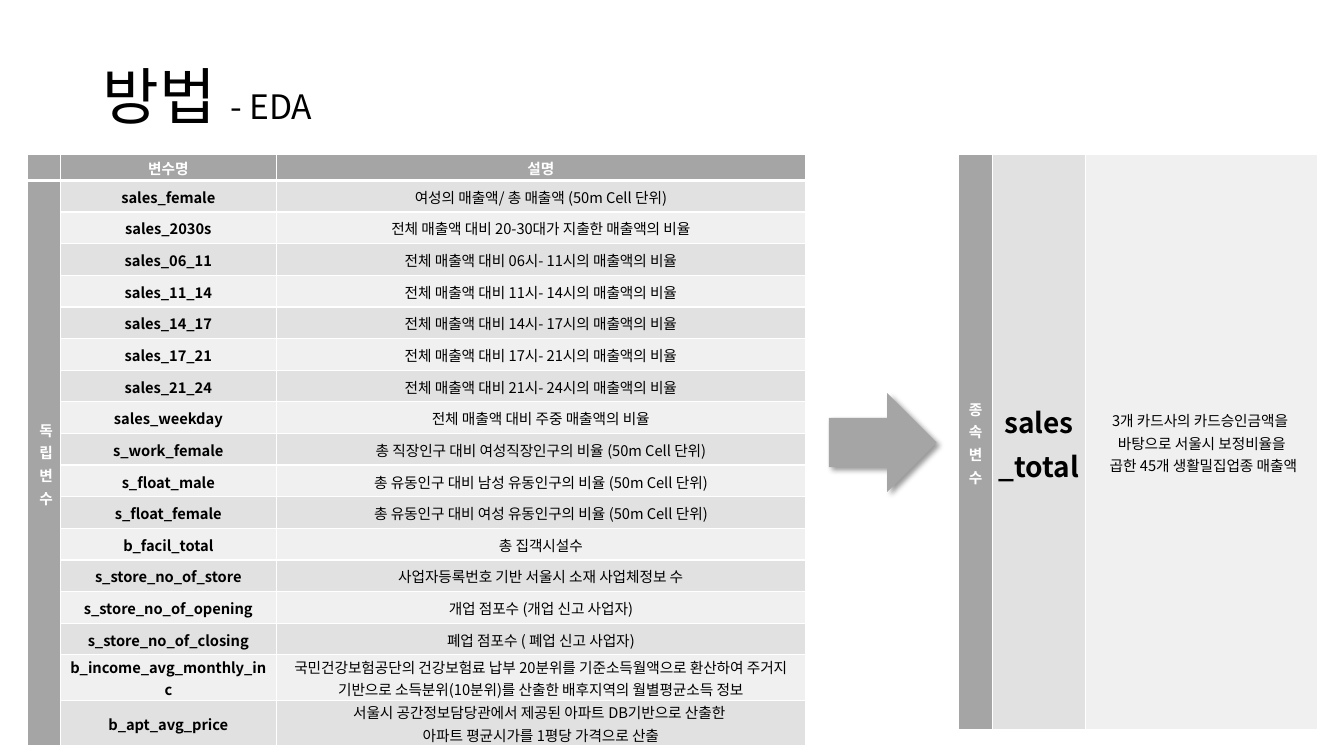
import copy

from lxml import etree
from pptx import Presentation, util as u
from pptx.dml.color import RGBColor
from pptx.enum import shapes, text
from pptx.oxml.ns import qn

COLORS = {"head": "A5A5A5", "dark": "E1E1E1", "light": "F0F0F0",
          "white": "FFFFFF", "black": "000000"}
FONT = "Noto Sans CJK KR"
CELL = {"size": 10.5, "color": "black", "bold": False}
NAME = {**CELL, "bold": True}
HEAD = {**NAME, "color": "white"}
BIG = {**NAME, "size": 20}

HOURS = [("06", "11"), ("11", "14"), ("14", "17"), ("17", "21"), ("21", "24")]
VARIABLES = [
    ("sales_female", "여성의 매출액/ 총 매출액 (50m Cell 단위)"),
    ("sales_2030s", "전체 매출액 대비 20-30대가 지출한 매출액의 비율"),
    *[(f"sales_{a}_{b}", f"전체 매출액 대비 {a}시- {b}시의 매출액의 비율") for a, b in HOURS],
    ("sales_weekday", "전체 매출액 대비 주중 매출액의 비율"),
    ("s_work_female", "총 직장인구 대비 여성직장인구의 비율 (50m Cell 단위)"),
    ("s_float_male", "총 유동인구 대비 남성 유동인구의 비율 (50m Cell 단위)"),
    ("s_float_female", "총 유동인구 대비 여성 유동인구의 비율 (50m Cell 단위)"),
    ("b_facil_total", "총 집객시설수"),
    ("s_store_no_of_store", "사업자등록번호 기반 서울시 소재 사업체정보 수"),
    ("s_store_no_of_opening", "개업 점포수 (개업 신고 사업자)"),
    ("s_store_no_of_closing", "폐업 점포수 ( 폐업 신고 사업자)"),
    ("b_income_avg_monthly_inc",
     "국민건강보험공단의 건강보험료 납부 20분위를 기준소득월액으로 환산하여 주거지 "
     "기반으로 소득분위(10분위)를 산출한 배후지역의 월별평균소득 정보"),
    ("b_apt_avg_price",
     "서울시 공간정보담당관에서 제공된 아파트 DB기반으로 산출한 \v아파트 평균시가를 1평당 가격으로 산출"),
]
TARGET = ["3개 카드사의 카드승인금액을 ", "바탕으로 서울시 보정비율을",
          " 곱한 45개 생활밀집업종 매출액"]


def rgb(name):
    return RGBColor.from_string(COLORS[name])


class SlideBuilder:
    def __init__(self, prs):
        self.s = prs.slides.add_slide(prs.slide_layouts[5])

    def style(self, r, size, color, bold):
        for key, value in {"size": u.Pt(size), "bold": bold, "name": FONT}.items():
            setattr(r.font, key, value)
        r.font.color.rgb = rgb(color)
        etree.SubElement(r.font._element, qn("a:ea"), typeface=FONT)

    def title(self, box, parts):
        sp = self.s.shapes.title
        sp.left, sp.top, sp.width, sp.height = map(u.Inches, box)
        tf = sp.text_frame
        tf.vertical_anchor = text.MSO_ANCHOR.MIDDLE
        p = tf.paragraphs[0]
        p.alignment, p.line_spacing = text.PP_ALIGN.LEFT, 0.9
        for words, size in parts:
            r = p.add_run()
            r.text = words
            self.style(r, size, "black", False)

    def table(self, left, top, cols, rows):
        frame = self.s.shapes.add_table(
            len(rows), len(cols), u.Inches(left), u.Inches(top),
            u.Inches(sum(cols)), u.Inches(sum(rows)))
        table = frame.table
        table.first_row = table.horz_banding = False
        for column, width in zip(table.columns, cols):
            column.width = u.Inches(width)
        for row, height in zip(table.rows, rows):
            row.height = u.Inches(height)
        return table

    def cell(self, cell, lines, fill, fmt, inset=(0.06, 0), thick=None, vert=None):
        side, edge = map(u.Inches, inset)
        for key, value in {"margin_left": side, "margin_right": side, "margin_top": edge,
                           "margin_bottom": edge,
                           "vertical_anchor": text.MSO_ANCHOR.MIDDLE}.items():
            setattr(cell, key, value)
        tc_pr = cell._tc.get_or_add_tcPr()
        if vert:
            tc_pr.set("vert", vert)
        for name in ("lnL", "lnR", "lnT", "lnB"):
            width = u.Pt(3 if name == thick else 1)
            ln = etree.SubElement(tc_pr, qn(f"a:{name}"), w=str(width))
            paint = etree.SubElement(ln, qn("a:solidFill"))
            etree.SubElement(paint, qn("a:srgbClr"), val=COLORS["white"])
        cell.fill.solid()
        cell.fill.fore_color.rgb = rgb(fill)
        tf = cell.text_frame
        for i, line in enumerate(lines):
            p = tf.add_paragraph() if i else tf.paragraphs[0]
            p.alignment, p.line_spacing = text.PP_ALIGN.CENTER, 1.07
            p.text = line
            for r in p.runs:
                self.style(r, **fmt)
            for br in p._p.findall(qn("a:br")):
                br.append(copy.deepcopy(p.runs[0].font._element))
            if not line:
                etree.SubElement(p._p, qn("a:endParaRPr"), sz=str(int(fmt["size"] * 100)))

    def arrow(self, box):
        sp = self.s.shapes.add_shape(shapes.MSO_SHAPE.RIGHT_ARROW, *map(u.Inches, box))
        sp.fill.solid()
        sp.fill.fore_color.rgb = rgb("head")
        sp.line.fill.background()
        sp.shadow.inherit = False
        effects = sp._element.spPr.find(qn("a:effectLst"))
        shadow = etree.SubElement(effects, qn("a:outerShdw"), blurRad=str(u.Pt(4)),
                                  dist=str(u.Pt(3)), dir=str(45 * 60000),
                                  algn="tl", rotWithShape="0")
        color = etree.SubElement(shadow, qn("a:srgbClr"), val=COLORS["black"])
        etree.SubElement(color, qn("a:alpha"), val="40000")


def main():
    prs = Presentation()
    prs.slide_width, prs.slide_height = u.Inches(13.33), u.Inches(7.5)
    b = SlideBuilder(prs)
    b.title((0.92, 0.26, 11.5, 1.45), [("방법 ", 44), ("- EDA", 24)])

    row_height = (5.6 - 0.26) / len(VARIABLES)
    inputs = b.table(0.27, 1.53, [0.33, 2.14, 5.25], [0.26] + [row_height] * len(VARIABLES))
    for col, label in enumerate(["", "변수명", "설명"]):
        b.cell(inputs.cell(0, col), [label], "head", HEAD, thick="lnB")
    for row, (name, meaning) in enumerate(VARIABLES, 1):
        fill = "dark" if row % 2 else "light"
        thick = "lnT" if row == 1 else None
        b.cell(inputs.cell(row, 1), [name], fill, NAME, thick=thick)
        b.cell(inputs.cell(row, 2), [meaning], fill, CELL, thick=thick)
    inputs.cell(1, 0).merge(inputs.cell(len(VARIABLES), 0))
    b.cell(inputs.cell(1, 0), ["독립변수"], "head", HEAD, inset=(0.12, 0.06), thick="lnT")

    output = b.table(9.51, 1.53, [0.33, 0.93, 2.3], [5.71])
    b.cell(output.cell(0, 0), ["종속변수"], "head", HEAD)
    b.cell(output.cell(0, 1), ["sales_total"], "dark", BIG, vert="eaVert")
    b.cell(output.cell(0, 2), TARGET, "light", CELL)

    b.arrow((8.22, 3.9, 1.07, 0.98))
    prs.save("out.pptx")


if __name__ == "__main__":
    main()
